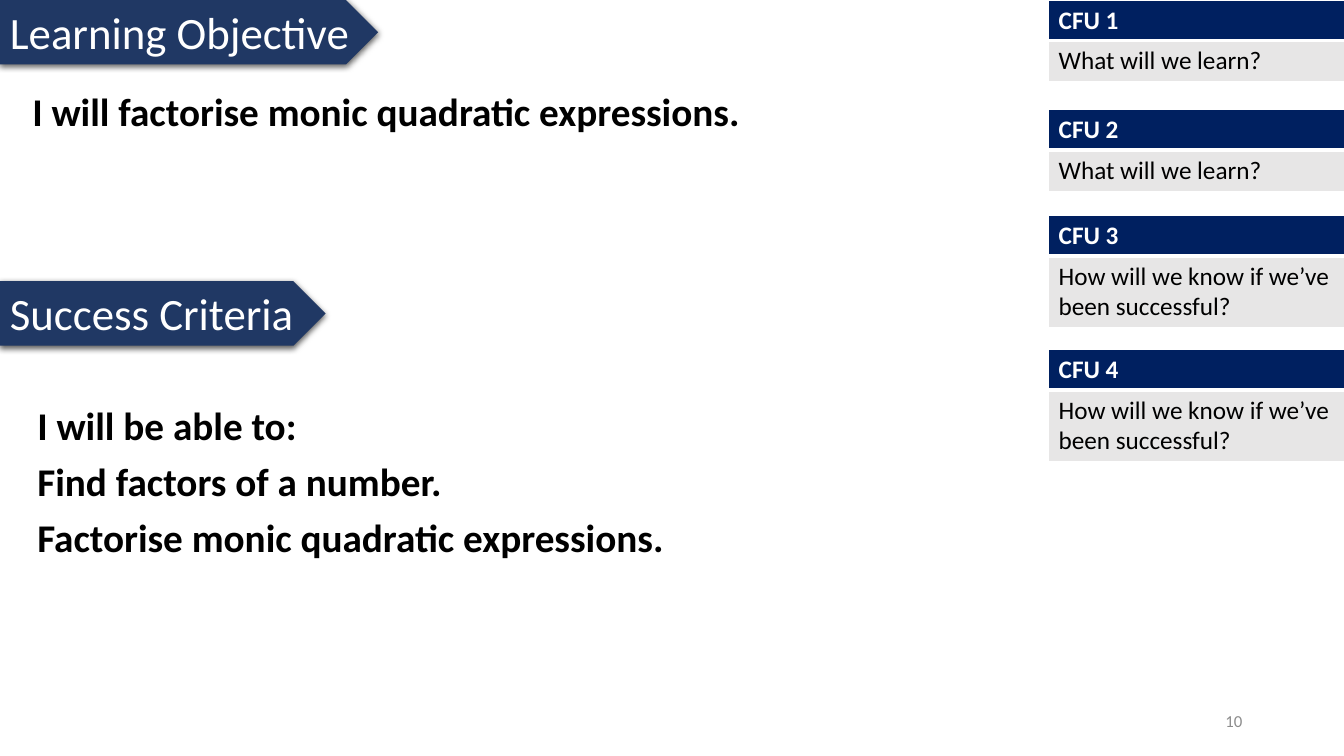
from lxml import etree
from pptx import Presentation
from pptx.dml.color import RGBColor
from pptx.enum import shapes, text
from pptx.oxml import ns
from pptx.util import Inches, Pt

NAVY = RGBColor(0x20, 0x38, 0x64)
HEADER_BLUE = RGBColor(0x00, 0x20, 0x60)
PALE_GREY = RGBColor(0xE7, 0xE6, 0xE6)
NUMBER_GREY = RGBColor(0x8C, 0x8C, 0x8C)
WHITE = RGBColor(0xFF, 0xFF, 0xFF)
BLACK = RGBColor(0x00, 0x00, 0x00)

HEADER_HEIGHT = 0.39
LEARN = "What will we learn?"
SUCCESS = "How will we know if we’ve been successful?"
# top, question, height of the question row
CHECKS = [(0, LEARN, 0.41), (1.09, LEARN, 0.41), (2.14, SUCCESS, 0.71), (3.47, SUCCESS, 0.71)]


def add_element(parent, tag, **attributes):
    element = etree.SubElement(parent, ns.qn(tag))
    for name, value in attributes.items():
        element.set(name, str(value))
    return element


class LessonSlide:
    """Holds the lesson style and the slide being filled."""

    font_name = "Calibri"

    def __init__(self, slide):
        self.slide = slide

    def add_run(self, paragraph, words, size, color, bold=False):
        run = paragraph.add_run()
        run.text = words
        font = run.font
        font.name, font.size, font.bold = self.font_name, Pt(size), bold
        font.color.rgb = color

    def add_banner(self, words, top, width):
        shape = self.slide.shapes.add_shape(
            shapes.MSO_SHAPE.PENTAGON, 0, Inches(top), Inches(width), Inches(0.64))
        shape.fill.solid()
        shape.fill.fore_color.rgb = NAVY
        shape.line.fill.background()
        self.add_shadow(shape)
        frame = shape.text_frame
        frame.word_wrap = False
        frame.auto_size = text.MSO_AUTO_SIZE.SHAPE_TO_FIT_TEXT
        frame.vertical_anchor = text.MSO_ANCHOR.TOP
        paragraph = frame.paragraphs[0]
        paragraph.alignment = text.PP_ALIGN.LEFT
        self.add_run(paragraph, words, 32, WHITE)

    def add_shadow(self, shape):
        shape.shadow.inherit = False
        effects = shape.element.spPr.find(ns.qn("a:effectLst"))
        shadow = add_element(effects, "a:outerShdw", blurRad=Pt(4.5), dist=Pt(1.5),
                             dir=5400000, algn="ctr", rotWithShape=0)
        color = add_element(shadow, "a:srgbClr", val=BLACK)
        add_element(color, "a:alpha", val=63000)

    def fill_body(self, index, lines, left, top, width, height):
        body = self.slide.placeholders[index]
        body.left, body.top = Inches(left), Inches(top)
        body.width, body.height = Inches(width), Inches(height)
        frame = body.text_frame
        frame.auto_size = text.MSO_AUTO_SIZE.NONE
        for number, line in enumerate(lines):
            paragraph = frame.add_paragraph() if number else frame.paragraphs[0]
            paragraph.line_spacing = 0.9
            paragraph.space_before = Pt(10 if number else 0)
            properties = paragraph._p.get_or_add_pPr()
            properties.set("marL", "0")
            properties.set("indent", "0")
            add_element(properties, "a:buNone")
            self.add_run(paragraph, line, 28, BLACK, bold=True)

    def add_check(self, heading, question, top, question_height):
        frame = self.slide.shapes.add_table(
            2, 1, Inches(10.4), Inches(top), Inches(2.94),
            Inches(HEADER_HEIGHT + question_height))
        table = frame.table
        rows = [(heading, HEADER_HEIGHT, HEADER_BLUE, WHITE, True),
                (question, question_height, PALE_GREY, BLACK, False)]
        for number, (words, height, fill, color, is_header) in enumerate(rows):
            table.rows[number].height = Inches(height)
            cell = table.cell(number, 0)
            self.add_borders(cell, top=1 if is_header else 3, bottom=3 if is_header else 1)
            cell.fill.solid()
            cell.fill.fore_color.rgb = fill
            self.add_run(cell.text_frame.paragraphs[0], words, 18, color, is_header)

    def add_borders(self, cell, top, bottom):
        properties = cell._tc.get_or_add_tcPr()
        for side, width in (("L", 1), ("R", 1), ("T", top), ("B", bottom)):
            line = add_element(properties, "a:ln" + side, w=Pt(width))
            add_element(add_element(line, "a:solidFill"), "a:srgbClr", val=WHITE)

    def add_page_number(self, number):
        box = self.slide.shapes.add_textbox(
            Inches(9.42), Inches(6.95), Inches(3), Inches(0.4))
        frame = box.text_frame
        frame.word_wrap = True
        frame.vertical_anchor = text.MSO_ANCHOR.MIDDLE
        paragraph = frame.paragraphs[0]
        paragraph.alignment = text.PP_ALIGN.RIGHT
        self.add_run(paragraph, number, 12, NUMBER_GREY)


def main():
    presentation = Presentation()
    presentation.slide_width = Inches(13.33)
    presentation.slide_height = Inches(7.5)
    slide = presentation.slides.add_slide(
        presentation.slide_layouts.get_by_name("Two Content"))
    title = slide.shapes.title.element
    title.getparent().remove(title)

    lesson = LessonSlide(slide)
    lesson.add_banner("Learning Objective", 0, 3.75)
    lesson.add_banner("Success Criteria", 2.79, 3.23)
    for number, (top, question, height) in enumerate(CHECKS, start=1):
        lesson.add_check(f"CFU {number}", question, top, height)
    lesson.fill_body(1, ["I will factorise monic quadratic expressions."],
                     0.22, 0.87, 9.7, 2.5)
    lesson.fill_body(2, ["I will be able to:", "Find factors of a number.",
                         "Factorise monic quadratic expressions."],
                     0.27, 3.98, 9.59, 2.73)
    lesson.add_page_number("10")
    presentation.save("out.pptx")


if __name__ == "__main__":
    main()
